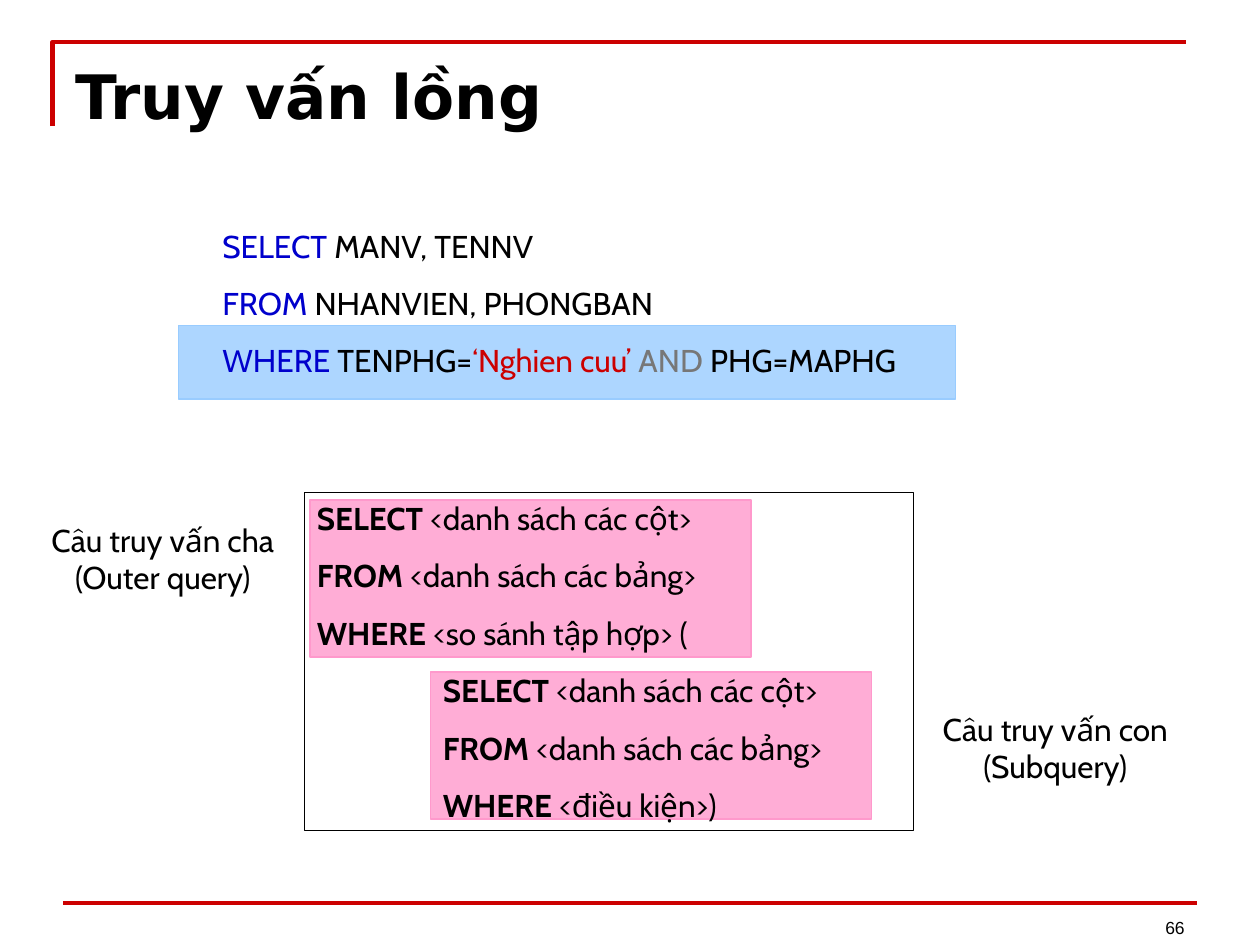
from dataclasses import dataclass

from lxml import etree
from pptx import Presentation
from pptx.dml import color as dml
from pptx.enum import shapes, text
from pptx.oxml import ns
from pptx import util as u


@dataclass(frozen=True)
class Theme:
    ink: str = "000000"
    red: str = "CC0000"
    keyword: str = "0000CC"
    operator: str = "777777"
    pink: str = "FF99CC"
    blue: str = "99CCFF"
    title_font: str = "DejaVu Sans"
    body_font: str = "Cabin"
    number_font: str = "Arial"
    title_size: float = 35
    body_size: float = 18
    number_size: float = 10
    gap: float = 11.2
    alpha: int = 80


THEME = Theme()
COLUMNS, ROWS = 120, 90
CELL = u.Inches(10) / COLUMNS


@dataclass(frozen=True)
class Box:
    left: float
    top: float
    width: float
    height: float

    def cut(self, column, row, columns, rows):
        return Box(self.left + column, self.top + row, columns, rows)

    def lengths(self):
        return [u.Emu(round(n * CELL)) for n in (self.left, self.top, self.width, self.height)]


def rgb(value):
    return dml.RGBColor.from_string(value)


def sub(parent, tag, **attributes):
    return etree.SubElement(parent, ns.qn(tag), **attributes)


def write(shape, lines, size=THEME.body_size, font=THEME.body_font, bold=False,
          align=text.PP_ALIGN.LEFT, anchor=text.MSO_ANCHOR.TOP, bottom=0.05):
    frame = shape.text_frame
    frame.word_wrap = True
    frame.vertical_anchor = anchor
    frame.margin_left = frame.margin_right = u.Inches(0.1)
    frame.margin_top, frame.margin_bottom = u.Inches(0.05), u.Inches(bottom)
    for index, line in enumerate(lines):
        paragraph = frame.add_paragraph() if index else frame.paragraphs[0]
        paragraph.alignment = align
        if index:
            paragraph.space_before = u.Pt(THEME.gap)
        if line[0][0].startswith("\t"):
            stops = sub(paragraph._p.get_or_add_pPr(), "a:tabLst")
            sub(stops, "a:tab", pos=str(u.Inches(1)), algn="l")
        for words, tint, strong in line:
            run = paragraph.add_run()
            run.text = words
            run.font.name, run.font.size = font, u.Pt(size)
            run.font.bold = bold or strong
            run.font.color.rgb = rgb(tint)


def plain(words):
    return [(words, THEME.ink, False)]


def write_box(slide, box, lines, **style):
    write(slide.shapes.add_textbox(*box.lengths()), lines, **style)


def panel(slide, box, line, fill=None):
    shape = slide.shapes.add_shape(shapes.MSO_SHAPE.RECTANGLE, *box.lengths())
    shape.shadow.inherit = False
    shape.line.color.rgb = rgb(line)
    shape.line.width = u.Pt(1)
    if fill:
        shape.fill.solid()
        shape.fill.fore_color.rgb = rgb(fill)
        tint = shape.fill._xPr.find(ns.qn("a:solidFill"))[0]
        sub(tint, "a:alpha", val=str(THEME.alpha * 1000))
    else:
        shape.fill.background()
    return shape


def header(slide, box):
    left, top, width, height = box.lengths()
    builder = slide.shapes.build_freeform(left, top + height)
    builder.add_line_segments([(left, top), (left + width, top)], close=False)
    corner = builder.convert_to_shape()
    corner.shadow.inherit = False
    corner.fill.background()
    corner.line.color.rgb = rgb(THEME.red)
    corner.line.width = u.Pt(2.5)
    write_box(slide, box.cut(1, 0.7, 111, 8.2), [plain("Truy vấn lồng")],
              size=THEME.title_size, font=THEME.title_font, bold=True,
              anchor=text.MSO_ANCHOR.BOTTOM, bottom=0.03)


def footer(slide, box):
    left, top, width, _ = box.cut(0, 2.1, box.width, 0).lengths()
    rule = slide.shapes.add_connector(shapes.MSO_CONNECTOR.STRAIGHT, left, top, left + width, top)
    rule.line.color.rgb = rgb(THEME.red)
    rule.line.width = u.Pt(2)
    sub(rule._element.spPr, "a:effectLst")
    write_box(slide, box.cut(80, 0, 28, 6), [plain("66")], size=THEME.number_size,
              font=THEME.number_font, align=text.PP_ALIGN.RIGHT, anchor=text.MSO_ANCHOR.BOTTOM)


def sample_query(slide, box):
    panel(slide, box.cut(0, 10, 74, 7), THEME.blue, THEME.blue)
    write_box(slide, box.cut(3, 0, 73, 15.8), [
        [("SELECT", THEME.keyword, False), (" MANV, TENNV", THEME.ink, False)],
        [("FROM ", THEME.keyword, False), ("NHANVIEN, PHONGBAN", THEME.ink, False)],
        [("WHERE ", THEME.keyword, False), ("TENPHG=", THEME.ink, False),
         ("‘Nghien cuu’ ", THEME.red, False), ("AND ", THEME.operator, False),
         ("PHG=MAPHG", THEME.ink, False)],
    ])


def query_lines(condition, indent=""):
    clauses = [("SELECT", "<danh sách các cột>"), ("FROM", "<danh sách các bảng>"),
               ("WHERE", condition)]
    return [[(indent + keyword, THEME.ink, True), (" " + rest, THEME.ink, False)]
            for keyword, rest in clauses]


def nested_query(slide, box):
    panel(slide, box.cut(26.5, 0.7, 42, 15), THEME.pink, THEME.pink)
    panel(slide, box.cut(38, 17.1, 42, 14), THEME.pink, THEME.pink)
    outline = panel(slide, box.cut(26, 0, 58, box.height), THEME.ink)
    write(outline, query_lines("<so sánh tập hợp> (") + query_lines("<điều kiện>)", "\t"),
          anchor=text.MSO_ANCHOR.MIDDLE)
    for words, column, row, rows in (("Câu truy vấn cha (Outer query)", 0, 2.1, 12),
                                     ("Câu truy vấn con (Subquery)", 85, 20.1, 8.4)):
        write_box(slide, box.cut(column, row, 25, rows), [plain(words)],
                  align=text.PP_ALIGN.CENTER)


def main():
    deck = Presentation()
    deck.slide_width, deck.slide_height = u.Inches(10), u.Inches(7.5)
    slide = deck.slides.add_slide(deck.slide_layouts[6])
    sheet = Box(0, 0, COLUMNS, ROWS)
    header(slide, sheet.cut(5, 4, 108, 8))
    footer(slide, sheet.cut(6, 83.9, 108, 6))
    sample_query(slide, sheet.cut(17, 21, 76, 17))
    nested_query(slide, sheet.cut(3, 46.9, 110, 32.2))
    deck.save("out.pptx")


if __name__ == "__main__":
    main()
